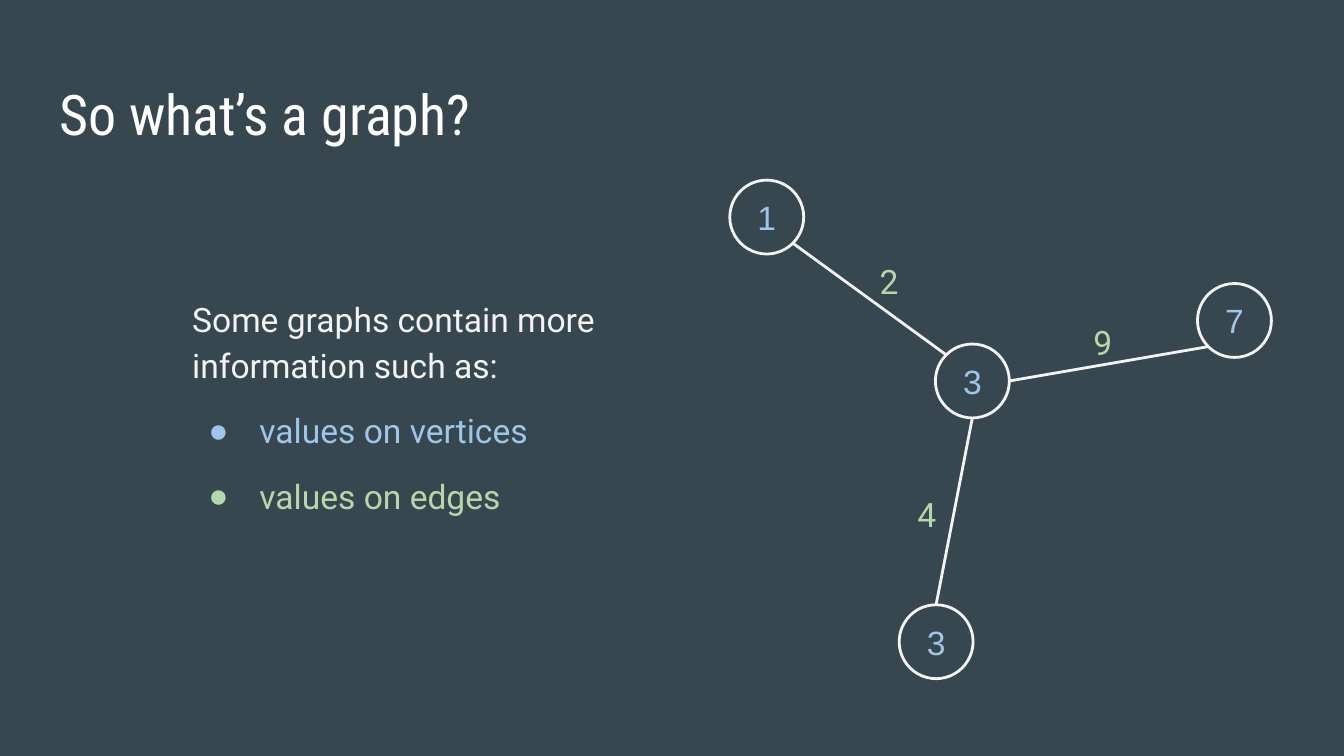
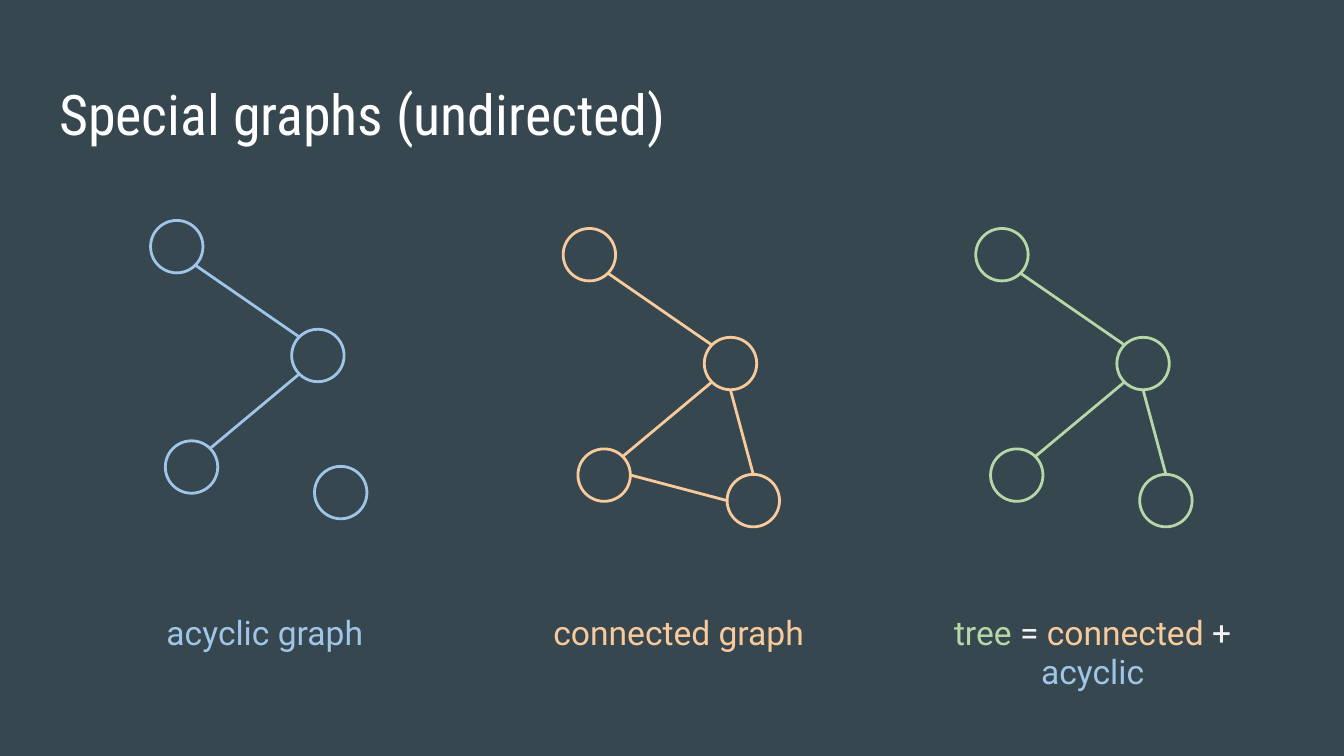
import math

import pptx
import pptx.dml.color
import pptx.enum.shapes
import pptx.enum.text
import pptx.oxml
import pptx.oxml.ns
import pptx.util
from lxml import etree

RGBColor = pptx.dml.color.RGBColor
Inches = pptx.util.Inches
Pt = pptx.util.Pt
Align = pptx.enum.text.PP_ALIGN
Anchor = pptx.enum.text.MSO_ANCHOR

SLATE = RGBColor(0x37, 0x47, 0x4F)
WHITE = RGBColor(0xFF, 0xFF, 0xFF)
PALE = RGBColor(0xF3, 0xF3, 0xF3)
BLUE = RGBColor(0x9F, 0xC5, 0xE8)
GREEN = RGBColor(0xB6, 0xD7, 0xA8)
ORANGE = RGBColor(0xF9, 0xCB, 0x9C)

WIDTH = 10
HEIGHT = WIDTH * 9 / 16
INSET = 0.1
LINE_WIDTH = 1.5
TEXT_SIZE = 18
LINE_SPACING = 1.15
NO_STYLE = "{2D5ABB26-0587-4C30-8999-92F81FD0307C}"
DIRECTIONS = {"N": (0, -1), "S": (0, 1), "W": (-1, 0), "E": (1, 0),
              "NW": (-1, -1), "NE": (1, -1), "SW": (-1, 1), "SE": (1, 1)}

INTRO = "Some graphs contain more information such as:"
BULLETS = [("values on vertices", BLUE), ("values on edges", GREEN)]
VALUE_DIAMETER = 0.55
VALUE_NODES = {"first": (5.43, 1.34, "1"), "right": (8.91, 2.11, "7"),
               "hub": (6.96, 2.56, "3"), "bottom": (6.69, 4.5, "3")}
VALUE_EDGES = [("bottom", "N", "hub", "S"), ("first", "SE", "hub", "NW"),
               ("hub", "E", "right", "SW")]
EDGE_VALUES = [("2", 6.37, 1.8), ("9", 7.96, 2.25), ("4", 6.65, 3.53)]

SMALL_DIAMETER = 0.39
SMALL_NODES = {"hub": (2.17, 2.45, ""), "left": (1.23, 3.28, ""),
               "top": (1.12, 1.64, ""), "right": (2.34, 3.47, "")}
FOREST_EDGES = [("top", "SE", "hub", "NW"), ("hub", "SW", "left", "NE")]
TREE_EDGES = FOREST_EDGES + [("hub", "S", "right", "N")]
CYCLE_EDGES = TREE_EDGES + [("left", "E", "right", "W")]
SPECIAL_GRAPHS = [
    (BLUE, 0, FOREST_EDGES, [("acyclic graph", BLUE)]),
    (ORANGE, 0.06, CYCLE_EDGES, [("connected graph", ORANGE)]),
    (GREEN, 0.06, TREE_EDGES, [("tree ", GREEN), ("= ", PALE), ("connected", ORANGE),
                               (" + ", PALE), ("acyclic", BLUE)]),
]
TABLE_LEFT, TABLE_TOP, ROW_HEIGHT = 0.43, 4.47, 0.42
COLUMN_WIDTH = 3.08
GRAPH_PITCH = 3.07


def style_run(run, color, size=TEXT_SIZE, name="Roboto"):
    run.font.size = Pt(size)
    run.font.name = name
    run.font.color.rgb = color


def write(paragraph, text, color, size=TEXT_SIZE, name="Roboto"):
    paragraph.text = text
    for run in paragraph.runs:
        style_run(run, color, size, name)


def set_frame(frame, anchor=Anchor.TOP):
    frame.word_wrap = True
    frame.auto_size = pptx.enum.text.MSO_AUTO_SIZE.NONE
    frame.vertical_anchor = anchor
    frame.margin_left = frame.margin_right = Inches(INSET)
    frame.margin_top = frame.margin_bottom = Inches(INSET)
    return frame


def place(shape, left, top, width, height):
    shape.left, shape.top = Inches(left), Inches(top)
    shape.width, shape.height = Inches(width), Inches(height)


def add_titled_slide(presentation, layout, title, width):
    slide = presentation.slides.add_slide(presentation.slide_layouts[layout])
    place(slide.shapes.title, 0.34, 0.49, width, 0.63)
    paragraph = set_frame(slide.shapes.title.text_frame).paragraphs[0]
    write(paragraph, title, WHITE, 30, "Roboto Condensed")
    paragraph.alignment = Align.LEFT
    return slide


def set_bullet(paragraph, color=None):
    properties = paragraph._p.get_or_add_pPr()
    properties.set("marL", str(Inches(0.5) if color else 0))
    properties.set("indent", str(Inches(-0.38) if color else 0))
    tag = pptx.oxml.ns.qn
    if color is None:
        etree.SubElement(properties, tag("a:buNone"))
        return
    bullet_color = etree.SubElement(properties, tag("a:buClr"))
    etree.SubElement(bullet_color, tag("a:srgbClr"), val=str(color))
    etree.SubElement(properties, tag("a:buFont"), typeface="Arial")
    etree.SubElement(properties, tag("a:buChar"), char="●")


def add_body(slide):
    body = slide.placeholders[1]
    place(body, 1.33, 2.08, 3.32, 1.94)
    frame = set_frame(body.text_frame)
    intro = frame.paragraphs[0]
    set_bullet(intro)
    write(intro, INTRO, PALE)
    intro.space_before = Pt(0)
    intro.line_spacing = LINE_SPACING
    for text, color in BULLETS:
        paragraph = frame.add_paragraph()
        set_bullet(paragraph, color)
        write(paragraph, text, color)
        paragraph.space_before = Pt(10)
        paragraph.line_spacing = LINE_SPACING
    paragraph.space_after = Pt(10)


def add_node(slide, left, top, diameter, label, color):
    node = slide.shapes.add_shape(pptx.enum.shapes.MSO_SHAPE.OVAL, Inches(left),
                                  Inches(top), Inches(diameter), Inches(diameter))
    node.shadow.inherit = False
    node.fill.background()
    node.line.color.rgb = color
    node.line.width = Pt(LINE_WIDTH)
    if label:
        paragraph = set_frame(node.text_frame, Anchor.MIDDLE).paragraphs[0]
        write(paragraph, label, BLUE, name="Arial")
        paragraph.alignment = Align.CENTER


def rim_point(node, diameter, direction):
    radius = diameter / 2
    across, down = DIRECTIONS[direction]
    reach = radius / math.hypot(across, down)
    return (Inches(node[0] + radius + across * reach),
            Inches(node[1] + radius + down * reach))


def add_graph(slide, nodes, edges, diameter, color):
    for left, top, label in nodes.values():
        add_node(slide, left, top, diameter, label, color)
    for start, start_side, end, end_side in edges:
        edge = slide.shapes.add_connector(
            pptx.enum.shapes.MSO_CONNECTOR.STRAIGHT,
            *rim_point(nodes[start], diameter, start_side),
            *rim_point(nodes[end], diameter, end_side))
        edge.line.color.rgb = color
        edge.line.width = Pt(LINE_WIDTH)
        etree.SubElement(edge._element.spPr, pptx.oxml.ns.qn("a:effectLst"))


def add_edge_value(slide, text, left, top):
    box = slide.shapes.add_textbox(Inches(left), Inches(top), Inches(0.49), Inches(0.45))
    paragraph = set_frame(box.text_frame).paragraphs[0]
    write(paragraph, text, GREEN)
    paragraph.alignment = Align.CENTER
    paragraph.line_spacing = LINE_SPACING


def add_captions(slide):
    count = len(SPECIAL_GRAPHS)
    table = slide.shapes.add_table(1, count, Inches(TABLE_LEFT), Inches(TABLE_TOP),
                                   Inches(COLUMN_WIDTH * count),
                                   Inches(ROW_HEIGHT)).table
    table.first_row = table.horz_banding = False
    table._tbl.tblPr.find(pptx.oxml.ns.qn("a:tableStyleId")).text = NO_STYLE
    for column, (_, _, _, pieces) in enumerate(SPECIAL_GRAPHS):
        cell = table.cell(0, column)
        cell.fill.background()
        cell.margin_left = cell.margin_right = Inches(INSET)
        cell.margin_top = cell.margin_bottom = Inches(INSET)
        paragraph = cell.text_frame.paragraphs[0]
        paragraph.alignment = Align.CENTER
        for text, color in pieces:
            run = paragraph.add_run()
            run.text = text
            style_run(run, color)


def main():
    presentation = pptx.Presentation()
    presentation.slide_width = Inches(WIDTH)
    presentation.slide_height = Inches(HEIGHT)
    background = presentation.slide_master.background.fill
    background.solid()
    background.fore_color.rgb = SLATE

    slide = add_titled_slide(presentation, 1, "So what’s a graph?", 3.38)
    add_body(slide)
    add_graph(slide, VALUE_NODES, VALUE_EDGES, VALUE_DIAMETER, PALE)
    for text, left, top in EDGE_VALUES:
        add_edge_value(slide, text, left, top)

    slide = add_titled_slide(presentation, 5, "Special graphs (undirected)", 4.96)
    add_captions(slide)
    for column, (color, drop, edges, _) in enumerate(SPECIAL_GRAPHS):
        nodes = {name: (left + column * GRAPH_PITCH, top + drop, label)
                 for name, (left, top, label) in SMALL_NODES.items()}
        add_graph(slide, nodes, edges, SMALL_DIAMETER, color)

    presentation.save("out.pptx")


if __name__ == "__main__":
    main()
